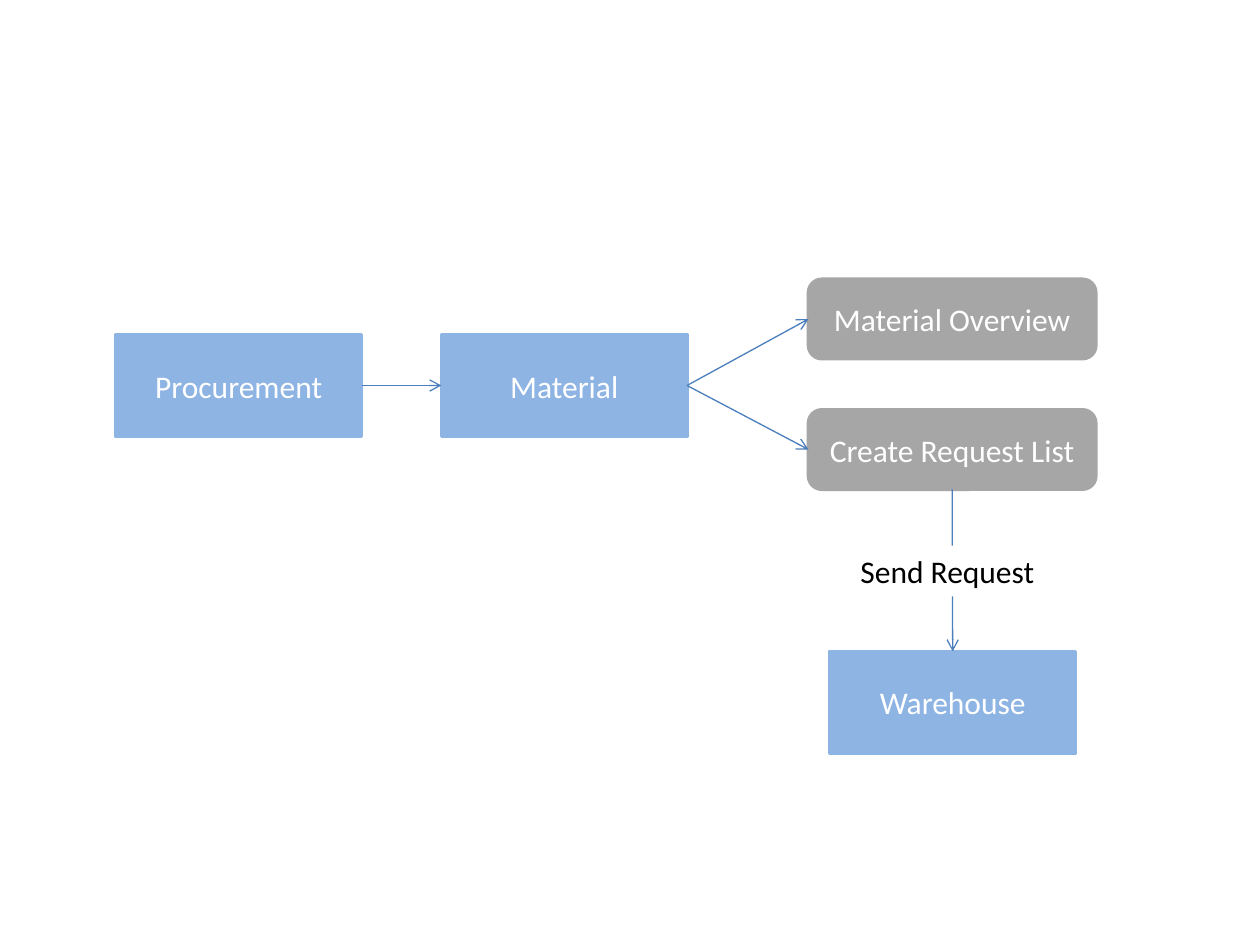
from dataclasses import dataclass

from lxml import etree
from pptx import Presentation
from pptx.dml.color import RGBColor
from pptx.enum import shapes, text
from pptx.oxml.ns import qn
from pptx.util import Pt

BLUE, GREY, LINE = "8EB4E3", "A6A6A6", "4B7EBC"
WHITE, BLACK = "FFFFFF", "000000"
PROCESS = shapes.MSO_SHAPE.FLOWCHART_PROCESS
ROUNDED = shapes.MSO_SHAPE.ROUNDED_RECTANGLE
TOP, LEFT, BOTTOM, RIGHT = range(4)  # connection sites


@dataclass
class Step:
    label: str
    x: float
    y: float
    is_action: bool = False


@dataclass
class Link:
    start: str
    start_site: int
    end: str
    end_site: int


STEPS = [
    Step("Procurement", 66.2, 191.2),
    Step("Material", 252.2, 191.2),
    Step("Material Overview", 462, 159.6, True),
    Step("Create Request List", 462, 234.2, True),
    Step("Warehouse", 474.2, 372.2),
]
LINKS = [
    Link("Procurement", RIGHT, "Material", LEFT),
    Link("Material", RIGHT, "Material Overview", LEFT),
    Link("Material", RIGHT, "Create Request List", LEFT),
    Link("Create Request List", BOTTOM, "Warehouse", TOP),
]


def rgb(color: str) -> RGBColor:
    return RGBColor.from_string(color)


def write(sp, label: str, color: str, align) -> None:
    p = sp.text_frame.paragraphs[0]
    p.text = label
    p.alignment = align
    p.font.name = "Calibri"
    p.font.size = Pt(18)
    p.font.color.rgb = rgb(color)


def add_step(s, step: Step):
    kind, color = (ROUNDED, GREY) if step.is_action else (PROCESS, BLUE)
    w, h = (164.2, 45.4) if step.is_action else (140.4, 58.2)
    sp = s.shapes.add_shape(kind, Pt(step.x), Pt(step.y), Pt(w), Pt(h))
    sp.shadow.inherit = False
    sp.fill.solid()
    sp.fill.fore_color.rgb = rgb(color)
    sp.line.color.rgb = rgb(color)
    sp.line.width = Pt(2)
    sp.text_frame.word_wrap = True
    sp.text_frame.vertical_anchor = text.MSO_ANCHOR.MIDDLE
    write(sp, step.label, WHITE, text.PP_ALIGN.CENTER)
    return sp


def add_link(s, link: Link, boxes: dict) -> None:
    c = s.shapes.add_connector(shapes.MSO_CONNECTOR.STRAIGHT, 0, 0, 0, 0)
    c.begin_connect(boxes[link.start], link.start_site)
    c.end_connect(boxes[link.end], link.end_site)
    c.line.color.rgb = rgb(LINE)
    c.line.width = Pt(0.75)
    etree.SubElement(c.line._get_or_add_ln(), qn("a:tailEnd"), type="arrow")
    etree.SubElement(c._element.spPr, qn("a:effectLst"))


def main() -> None:
    prs = Presentation()
    prs.slide_width, prs.slide_height = Pt(720), Pt(540)
    s = prs.slides.add_slide(prs.slide_layouts[6])

    # Process steps and their arrows
    boxes = {step.label: add_step(s, step) for step in STEPS}
    for link in LINKS:
        add_link(s, link, boxes)

    # Label that interrupts the last arrow
    tb = s.shapes.add_textbox(Pt(484.6), Pt(311.8), Pt(118.8), Pt(29))
    tb.fill.solid()
    tb.fill.fore_color.rgb = rgb(WHITE)
    tb.text_frame.word_wrap = True
    tb.text_frame.auto_size = text.MSO_AUTO_SIZE.SHAPE_TO_FIT_TEXT
    write(tb, "Send Request", BLACK, text.PP_ALIGN.LEFT)

    prs.save("out.pptx")


if __name__ == "__main__":
    main()
